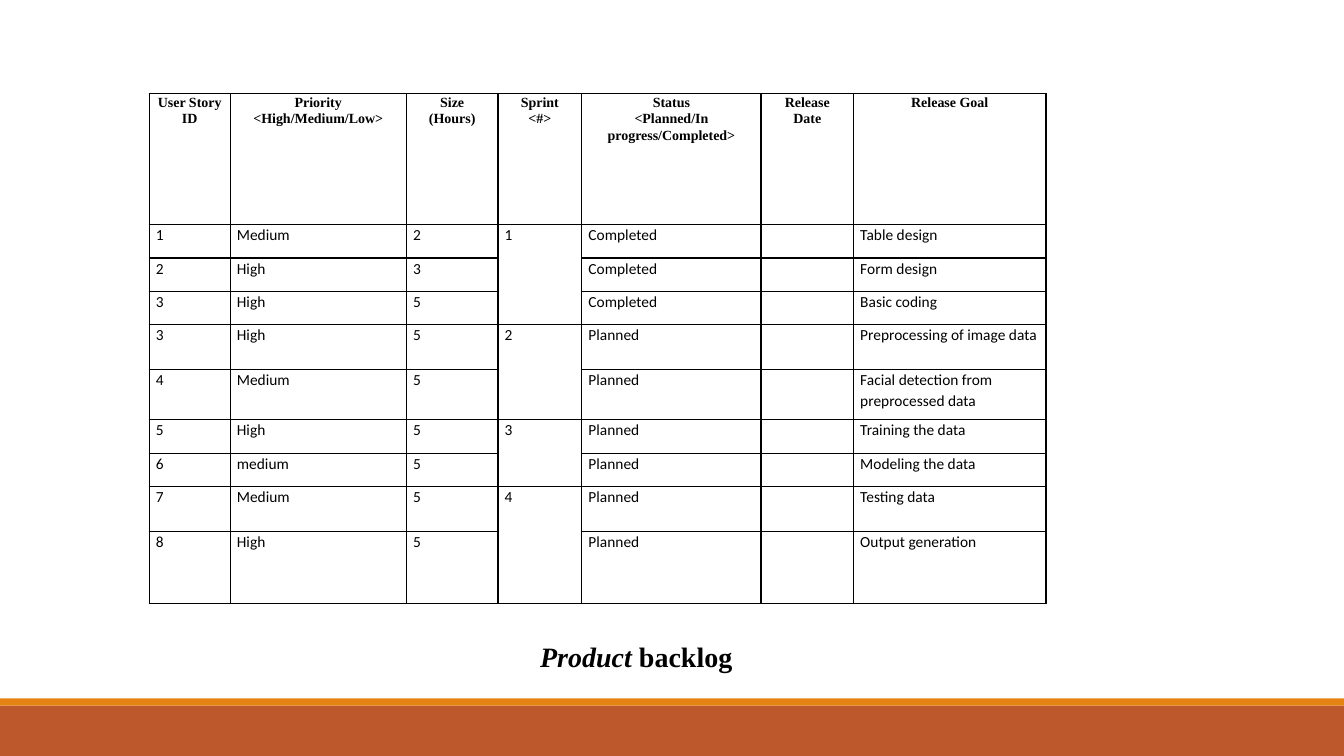
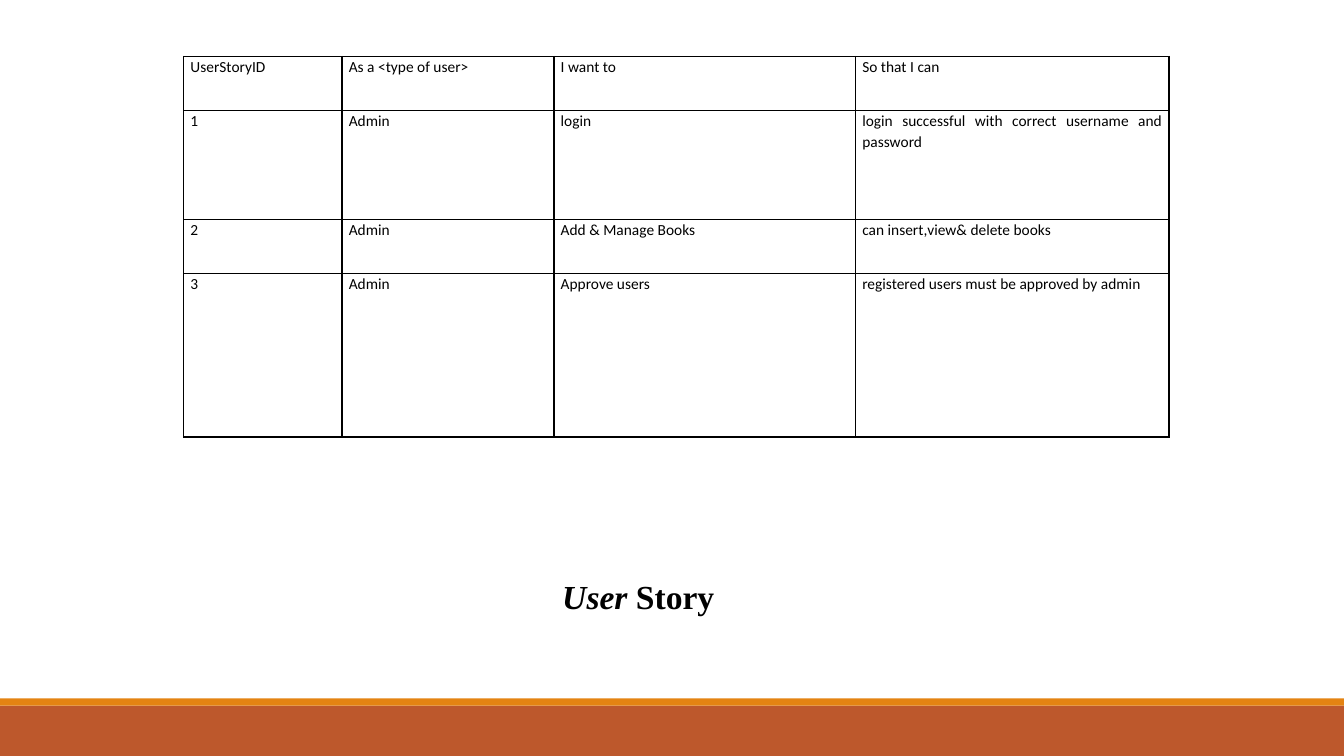
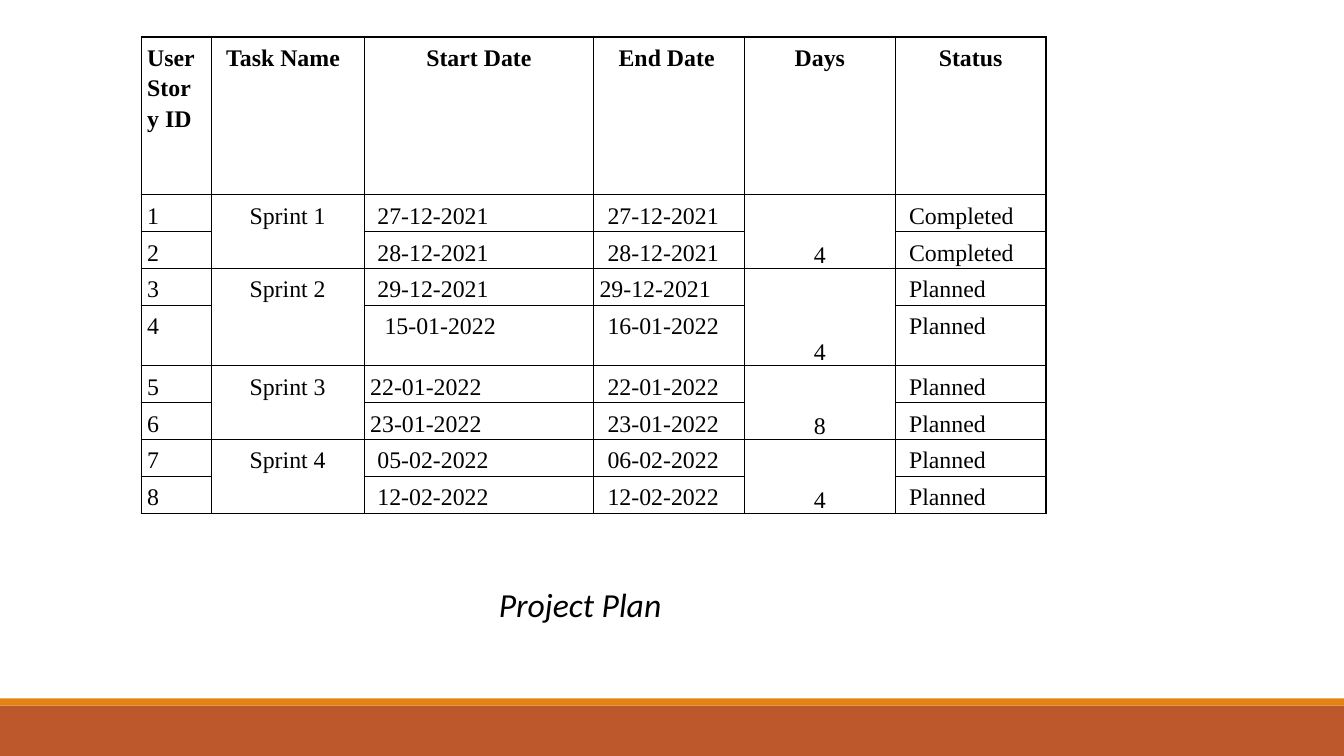
from dataclasses import dataclass, replace
from typing import NamedTuple, Optional, Union

from pptx import Presentation
from pptx.dml.color import RGBColor
from pptx.enum.shapes import MSO_SHAPE
from pptx.enum.text import MSO_ANCHOR, MSO_AUTO_SIZE, PP_ALIGN
from pptx.oxml.ns import qn
from pptx.util import Cm, Pt
from lxml import etree

RECTANGLE = MSO_SHAPE.RECTANGLE
TOP, BOTTOM = MSO_ANCHOR.TOP, MSO_ANCHOR.BOTTOM
LEFT, CENTER, JUSTIFY = PP_ALIGN.LEFT, PP_ALIGN.CENTER, PP_ALIGN.JUSTIFY
FIT_SHAPE = MSO_AUTO_SIZE.SHAPE_TO_FIT_TEXT

SLIDE_WIDTH, SLIDE_HEIGHT = 33.87, 19.05
SERIF, SANS = "Times New Roman", "Calibri"
BLACK, WHITE = "000000", "FFFFFF"
RUST, ORANGE = "BD582C", "E48312"


class Band(NamedTuple):
    top: float
    height: float
    color: str


BANDS = [Band(17.78, 1.27, RUST), Band(17.6, 0.18, ORANGE)]


@dataclass(frozen=True)
class TextStyle:
    font: str
    size: float
    bold: bool = False
    italic: bool = False
    align: PP_ALIGN = LEFT
    indent: float = 0
    anchor: MSO_ANCHOR = TOP


class Indented(NamedTuple):
    """Cell text whose indent differs from that of its column."""
    text: str
    indent: float


# None continues the cell above.
CellValue = Union[str, Indented, None]


class Column(NamedTuple):
    width: float
    header: str
    header_style: TextStyle
    body_style: TextStyle


@dataclass(frozen=True)
class TableBlock:
    left: float
    top: float
    columns: list[Column]
    row_heights: list[float]
    rows: list[list[CellValue]]
    side_margin: float
    top_margin: float
    line_spacing: float


class Caption(NamedTuple):
    left: float
    top: float
    width: float
    height: float
    runs: list[tuple[str, TextStyle]]


def rgb(color: str) -> RGBColor:
    return RGBColor.from_string(color)


def add_run(paragraph, text: str, style: TextStyle) -> None:
    run = paragraph.add_run()
    run.text = text
    run.font.name = style.font
    run.font.size = Pt(style.size)
    run.font.bold = style.bold
    run.font.italic = style.italic
    run.font.color.rgb = rgb(BLACK)


def add_bands(slide) -> None:
    for band in BANDS:
        shape = slide.shapes.add_shape(
            RECTANGLE, 0, Cm(band.top), Cm(SLIDE_WIDTH), Cm(band.height))
        shape.shadow.inherit = False
        shape.fill.solid()
        shape.fill.fore_color.rgb = rgb(band.color)
        shape.line.fill.background()


def add_borders(cell) -> None:
    properties = cell._tc.get_or_add_tcPr()
    for side in ("a:lnL", "a:lnR", "a:lnT", "a:lnB"):
        line = etree.SubElement(properties, qn(side), w=str(Pt(1)))
        fill = etree.SubElement(line, qn("a:solidFill"))
        etree.SubElement(fill, qn("a:srgbClr"), val=BLACK)


def format_cell(cell, block: TableBlock) -> None:
    add_borders(cell)
    cell.fill.solid()
    cell.fill.fore_color.rgb = rgb(WHITE)
    cell.margin_left = cell.margin_right = Cm(block.side_margin)
    cell.margin_top, cell.margin_bottom = Cm(block.top_margin), 0


def write_cell(cell, value: Union[str, Indented], style: TextStyle, line_spacing: float) -> None:
    if isinstance(value, Indented):
        style = replace(style, indent=value.indent)
        value = value.text
    cell.vertical_anchor = style.anchor
    for index, text in enumerate(value.split("\n") if value else []):
        frame = cell.text_frame
        paragraph = frame.add_paragraph() if index else frame.paragraphs[0]
        paragraph.alignment = style.align
        paragraph.line_spacing = line_spacing
        if style.indent:
            paragraph._p.get_or_add_pPr().set("marL", str(Cm(style.indent)))
        add_run(paragraph, text, style)


def add_table(slide, block: TableBlock) -> None:
    values = [[column.header for column in block.columns], *block.rows]
    table = slide.shapes.add_table(
        len(values), len(block.columns), Cm(block.left), Cm(block.top),
        Cm(sum(column.width for column in block.columns)),
        Cm(sum(block.row_heights))).table
    table.first_row = table.horz_banding = False
    for row, height in zip(table.rows, block.row_heights):
        row.height = Cm(height)
    for column_index, column in enumerate(block.columns):
        table.columns[column_index].width = Cm(column.width)
        for row_index, row in enumerate(values):
            cell = table.cell(row_index, column_index)
            format_cell(cell, block)
            if row[column_index] is not None:
                style = column.body_style if row_index else column.header_style
                write_cell(cell, row[column_index], style, block.line_spacing)
        merge_continued(table, column_index, [row[column_index] for row in values])


def merge_continued(table, column_index: int, values: list[Optional[CellValue]]) -> None:
    """Merge each cell with the None values that follow it."""
    starts = [index for index, value in enumerate(values) if value is not None]
    for start, following in zip(starts, [*starts[1:], len(values)]):
        if following - start > 1:
            table.cell(start, column_index).merge(table.cell(following - 1, column_index))


def add_caption(slide, caption: Caption) -> None:
    box = slide.shapes.add_textbox(
        Cm(caption.left), Cm(caption.top), Cm(caption.width), Cm(caption.height))
    box.text_frame.word_wrap = True
    box.text_frame.auto_size = FIT_SHAPE
    for text, style in caption.runs:
        add_run(box.text_frame.paragraphs[0], text, style)


def two_tone_runs(first: str, rest: str, size: float) -> list[tuple[str, TextStyle]]:
    """A bold serif caption whose first word is italic."""
    style = TextStyle(SERIF, size, bold=True)
    return [(first, replace(style, italic=True)), (rest, style)]


BACKLOG_HEADER = TextStyle(SERIF, 10, bold=True, align=CENTER)
BACKLOG_BODY = TextStyle(SANS, 11)
BACKLOG = TableBlock(
    left=3.76, top=2.36,
    columns=[Column(width, header, BACKLOG_HEADER, BACKLOG_BODY) for width, header in [
        (2.04, "User Story ID"),
        (4.44, "Priority\n<High/Medium/Low>"),
        (2.31, "Size\n(Hours)"),
        (2.11, "Sprint\n<#>"),
        (4.52, "Status\n<Planned/In progress/Completed>"),
        (2.33, "Release\nDate"),
        (4.85, "Release Goal"),
    ]],
    row_heights=[3.3, 0.84, 0.84, 0.84, 1.14, 1.26, 0.84, 0.84, 1.14, 1.81],
    rows=[
        ["1", "Medium", "2", "1", "Completed", "", "Table design"],
        ["2", "High", "3", None, "Completed", "", "Form design"],
        ["3", "High", "5", None, "Completed", "", "Basic coding"],
        ["3", "High", "5", "2", "Planned", "", "Preprocessing of image data"],
        ["4", "Medium", "5", None, "Planned", "", "Facial detection from preprocessed data"],
        ["5", "High", "5", "3", "Planned", "", "Training the data"],
        ["6", "medium", "5", None, "Planned", "", "Modeling the data"],
        ["7", "Medium", "5", "4", "Planned", "", "Testing data"],
        ["8", "High", "5", None, "Planned", "", "Output generation"],
    ],
    side_margin=0.17, top_margin=0, line_spacing=1.07)

STORY_TEXT = TextStyle(SANS, 11, align=JUSTIFY)
STORIES = TableBlock(
    left=4.63, top=1.42,
    columns=[Column(width, header, STORY_TEXT, STORY_TEXT) for width, header in [
        (3.99, "UserStoryID"),
        (5.34, "As a <type of user>"),
        (7.6, "I want to"),
        (7.9, "So that I can"),
    ]],
    row_heights=[1.37, 2.74, 1.37, 4.11],
    rows=[
        ["1", "Admin", "login", "login successful with correct username and password"],
        ["2", "Admin", "Add & Manage Books", "can insert,view& delete books"],
        ["3", "Admin", "Approve users", "registered users must be approved by admin"],
    ],
    side_margin=0.17, top_margin=0, line_spacing=1.07)

PLAN_BODY = TextStyle(SERIF, 17)
PLAN_CENTERED = replace(PLAN_BODY, align=CENTER)
PLAN_INDENTED = replace(PLAN_BODY, indent=0.2)
PLAN_HEADER = replace(PLAN_BODY, bold=True)
PLAN_HEADER_CENTERED = replace(PLAN_HEADER, align=CENTER)
PLAN = TableBlock(
    left=3.56, top=0.93,
    columns=[
        Column(1.76, "User Stor y ID", PLAN_HEADER, PLAN_BODY),
        Column(3.86, "Task Name", replace(PLAN_HEADER, indent=0.23), PLAN_CENTERED),
        Column(5.78, "Start Date", PLAN_HEADER_CENTERED, replace(PLAN_BODY, indent=0.18)),
        Column(3.8, "End Date", replace(PLAN_HEADER, indent=0.48), PLAN_INDENTED),
        Column(3.8, "Days", PLAN_HEADER_CENTERED, replace(PLAN_CENTERED, anchor=BOTTOM)),
        Column(3.8, "Status", PLAN_HEADER_CENTERED, PLAN_INDENTED),
    ],
    row_heights=[3.98, 0.93, 0.93, 0.93, 1.52, 0.93, 0.93, 0.93, 0.93],
    rows=[
        ["1", "Sprint 1", "27-12-2021", "27-12-2021", "4", "Completed"],
        ["2", None, "28-12-2021", "28-12-2021", None, "Completed"],
        ["3", "Sprint 2", "29-12-2021", Indented("29-12-2021", 0), "4", "Planned"],
        ["4", None, Indented("15-01-2022", 0.36), "16-01-2022", None, "Planned"],
        ["5", "Sprint 3", Indented("22-01-2022", 0), "22-01-2022", "8", "Planned"],
        ["6", None, Indented("23-01-2022", 0), "23-01-2022", None, "Planned"],
        ["7", "Sprint 4", "05-02-2022", "06-02-2022", "4", "Planned"],
        ["8", None, "12-02-2022", "12-02-2022", None, "Planned"],
    ],
    side_margin=0.15, top_margin=0.1, line_spacing=1.15)

SLIDES = [
    (BACKLOG, Caption(13.36, 15.98, 6.07, 1.11, two_tone_runs("Product", " backlog", 20))),
    (STORIES, Caption(13.92, 14.38, 4.67, 1.28, two_tone_runs("User", " Story", 24))),
    (PLAN, Caption(12.32, 14.58, 7.75, 1.28,
                   [("Project Plan", TextStyle(SANS, 24, italic=True))])),
]


def main() -> None:
    presentation = Presentation()
    presentation.slide_width = Cm(SLIDE_WIDTH)
    presentation.slide_height = Cm(SLIDE_HEIGHT)
    blank_layout = presentation.slide_layouts[6]
    for block, caption in SLIDES:
        slide = presentation.slides.add_slide(blank_layout)
        add_bands(slide)
        add_table(slide, block)
        add_caption(slide, caption)
    presentation.save("out.pptx")


if __name__ == "__main__":
    main()
